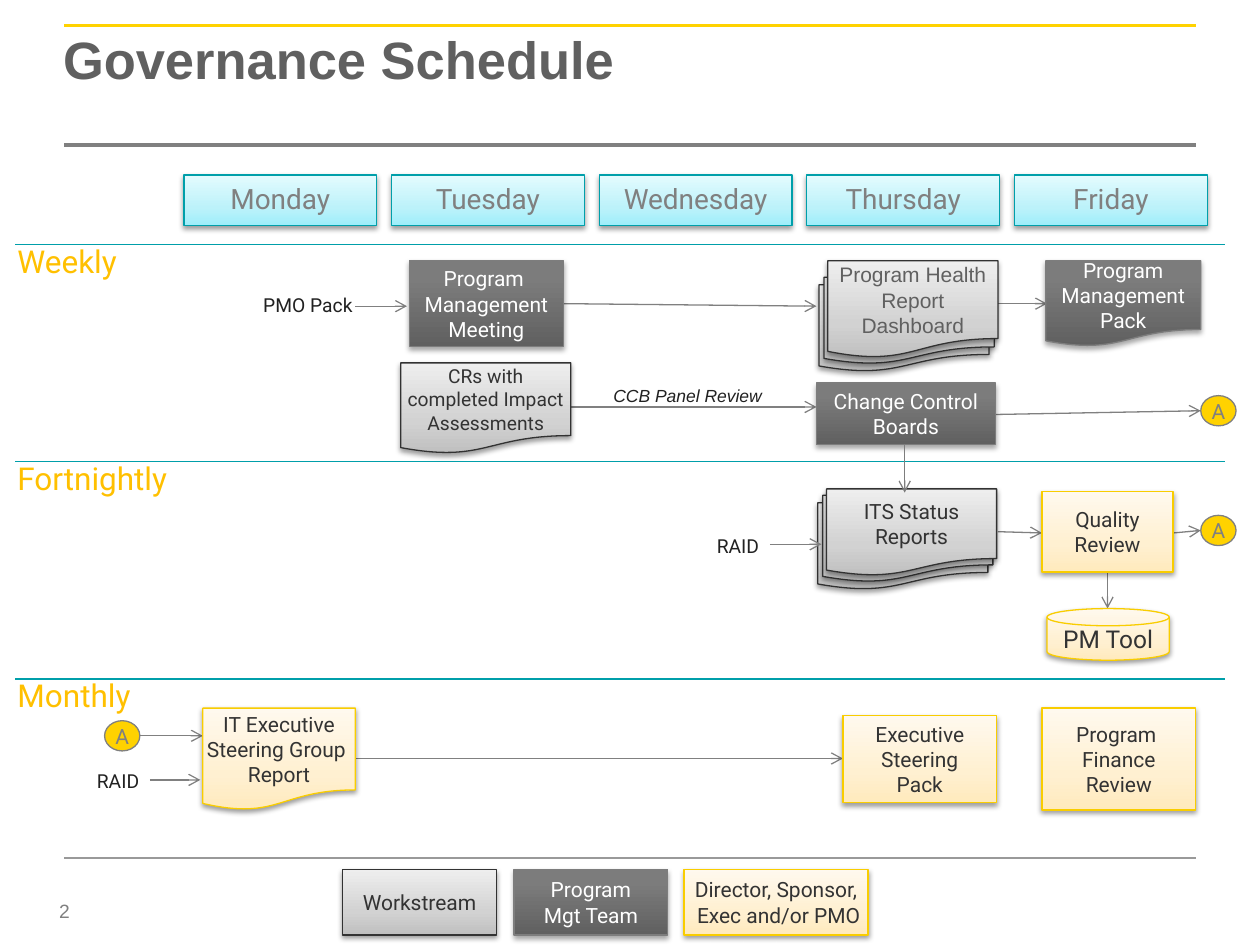
from copy import deepcopy

from lxml.etree import SubElement
from pptx import Presentation
from pptx.dml.color import RGBColor
from pptx.enum.shapes import MSO_CONNECTOR, MSO_SHAPE as Shape
from pptx.enum.text import MSO_ANCHOR as Anchor, MSO_AUTO_SIZE as Fit, PP_ALIGN as Align
from pptx.oxml.ns import qn
from pptx.util import Inches, Pt

COLS, ROWS = 100, 75  # grid over the whole slide

COLORS = {
    "grey": "808080", "rule": "999999", "yellow": "FFD200", "amber": "FFC000",
    "teal": "009FAA", "title": "606060", "ink": "212121", "text": "333333",
    "edge": "323232", "gold": "F9CD00", "slate": "7D7D7D", "white": "FFFFFF",
}

# Gradient stops from bottom to top, outline, text colour, shadow (opacity, distance)
STYLES = {
    "day": ([(0, "9EEEFA"), (35, "BCF2FA"), (100, "E4FBFE")], "teal", "grey", (38, 1.6)),
    "work": ([(0, "BFBFBF"), (35, "D2D2D2"), (100, "EEEEEE")], "edge", "text", (38, 1.6)),
    "team": ([(0, "606060"), (80, "7C7C7C"), (100, "7D7D7D")], "slate", "white", (35, 1.8)),
    "exec": ([(0, "FFEABD"), (35, "FFF0D1"), (100, "FFF9EE")], "gold", "text", (38, 1.6)),
}


def rgb(name):
    return RGBColor.from_string(COLORS[name])


class Board:
    """Draws on one slide; all lengths are grid columns and rows."""

    def __init__(self, prs):
        self.col = prs.slide_width / COLS
        self.row = prs.slide_height / ROWS
        self.s = prs.slides.add_slide(prs.slide_layouts[5])

    def place(self, x, y, w, h):
        return [round(v) for v in (x * self.col, y * self.row, w * self.col, h * self.row)]

    def set_text(self, tf, text, size, color, font="Roboto", align=Align.LEFT,
                 bold=False, italic=False):
        tf.text = text
        for p in tf.paragraphs:
            p.alignment = align
            for r in p.runs:
                r.font.name, r.font.size = font, Pt(size)
                r.font.bold, r.font.italic = bold, italic
                r.font.color.rgb = rgb(color)

    def no_insets(self, tf):
        tf.margin_left = tf.margin_right = tf.margin_top = tf.margin_bottom = 0

    def title(self, text, *area):
        sp = self.s.shapes.title
        sp.left, sp.top, sp.width, sp.height = self.place(*area)
        tf = sp.text_frame
        self.no_insets(tf)
        tf.vertical_anchor, tf.auto_size = Anchor.TOP, Fit.NONE
        self.set_text(tf, text, 30, "title", "Arial", bold=True)
        tf.paragraphs[0].line_spacing = 0.85

    def label(self, text, x, y, w, h, size, color, wrap=False, **style):
        tf = self.s.shapes.add_textbox(*self.place(x, y, w, h)).text_frame
        tf.word_wrap, tf.auto_size = wrap, Fit.SHAPE_TO_FIT_TEXT
        self.set_text(tf, text, size, color, **style)

    def number(self, text, *area):
        tf = self.s.shapes.add_textbox(*self.place(*area)).text_frame
        tf.word_wrap, tf.vertical_anchor = True, Anchor.MIDDLE
        self.no_insets(tf)
        self.set_text(tf, text, 11, "grey", "Arial")

    def box(self, style, text, x, y, w, h, kind=Shape.RECTANGLE, size=12, color=None,
            font="Roboto", anchor=Anchor.MIDDLE, wrap=False):
        stops, edge, ink, (opacity, distance) = STYLES[style]
        sp = self.s.shapes.add_shape(kind, *self.place(x, y, w, h))
        spPr = sp.element.spPr
        # Three-stop gradient
        sp.fill.gradient()
        sp.fill.gradient_angle = 90
        gs = spPr.find(".//" + qn("a:gsLst"))
        gs.append(deepcopy(gs[0]))
        for stop, (position, tone) in zip(sp.fill.gradient_stops, stops):
            stop.position = position / 100
            stop.color.rgb = RGBColor.from_string(tone)
        sp.line.color.rgb, sp.line.width = rgb(edge), Pt(0.75)
        # Soft shadow straight below
        sp.shadow.inherit = False
        shadow = SubElement(spPr.find(qn("a:effectLst")), qn("a:outerShdw"),
                            blurRad=str(Pt(3.1)), dist=str(Pt(distance)),
                            dir="5400000", rotWithShape="0")
        black = SubElement(shadow, qn("a:srgbClr"), val="000000")
        SubElement(black, qn("a:alpha"), val=str(opacity * 1000))
        if text:
            tf = sp.text_frame
            tf.word_wrap, tf.vertical_anchor = wrap, anchor
            self.set_text(tf, text, size, color or ink, font, Align.CENTER)

    def stack(self, text, x, y, w, h, backs, **style):
        for left, top in backs:
            self.box("work", "", left, top, 13.5, 6.9, Shape.FLOWCHART_DOCUMENT)
        self.box("work", text, x, y, w, h, Shape.FLOWCHART_DOCUMENT, **style)

    def marker(self, x, y):
        sp = self.s.shapes.add_shape(Shape.OVAL, *self.place(x, y, 2.8, 2.4))
        sp.shadow.inherit = False
        sp.fill.solid()
        sp.fill.fore_color.rgb = rgb("yellow")
        sp.line.color.rgb, sp.line.width = rgb("grey"), Pt(0.75)
        tf = sp.text_frame
        tf.word_wrap, tf.vertical_anchor = False, Anchor.MIDDLE
        self.no_insets(tf)
        self.set_text(tf, "A", 12, "grey", align=Align.CENTER)

    def line(self, x1, y1, x2, y2, color="grey", width=0.75, arrow=False):
        ends = self.place(x1, y1, x2, y2)
        cn = self.s.shapes.add_connector(MSO_CONNECTOR.STRAIGHT, *ends)
        cn.line.color.rgb, cn.line.width = rgb(color), Pt(width)
        spPr = cn.element.spPr
        if arrow:
            SubElement(spPr.find(qn("a:ln")), qn("a:tailEnd"), type="arrow")
        SubElement(spPr, qn("a:effectLst"))


def main():
    prs = Presentation()
    prs.slide_width, prs.slide_height = Inches(10), Inches(7.5)
    b = Board(prs)
    doc = Shape.FLOWCHART_DOCUMENT

    # Frame, title and page number
    for y, color, width in ((68.1, "rule", 1.5), (2, "yellow", 1.5), (11.5, "grey", 2)):
        b.line(5.1, y, 94.9, y, color, width)
    b.title("Governance Schedule", 5, 2.9, 89.9, 8.6)
    b.number("2", 4.7, 70.7, 2, 3.1)

    # Weekday headers
    for i, day in enumerate(("Monday", "Tuesday", "Wednesday", "Thursday", "Friday")):
        b.box("day", day, 14.6 + 16.48 * i, 13.9, 15.3, 4, size=16, anchor=Anchor.TOP)

    # Frequency bands
    for i, (band, w) in enumerate((("Weekly", 10.2), ("Fortnightly", 14.4), ("Monthly", 11.2))):
        y = 19.4 + 17.25 * i
        b.line(1.2, y, 97.2, y, "teal")
        b.label(band, 0.4, y - 0.7, w, 4, 18, "amber")

    # Arrows that run beneath the boxes
    for ends in ((28.2, 24.3, 32.3, 24.3), (44.7, 24.1, 64.8, 24.3), (77.9, 24.1, 83.1, 24.1),
                 (45.3, 32.3, 64.8, 32.3), (78.9, 32.9, 95.3, 32.6), (79.2, 42.2, 82.7, 42.3),
                 (93.1, 42.3, 95.3, 42.1), (87.9, 45.5, 87.9, 48.3), (11, 58.4, 16.1, 58.4),
                 (11.9, 61.9, 15.9, 61.9), (28.2, 60.2, 66.9, 60.2)):
        b.line(*ends, arrow=True)

    # Weekly
    b.box("team", "Program \nManagement\nMeeting", 32.5, 20.7, 12.2, 6.8)
    b.stack("Program Health\n Report \nDashboard", 65.7, 20.7, 13.5, 7.7,
            ((65, 22.6), (65.4, 22)), font="Arial", color="title")
    b.box("team", "Program Management Pack", 83, 20.7, 12.3, 6.8, doc, wrap=True)
    b.box("work", "CRs with\ncompleted Impact\nAssessments", 31.8, 28.8, 13.5, 7.2, doc, size=11)
    b.box("team", "Change Control\nBoards", 64.8, 30.4, 14.2, 4.9)
    b.label("CCB Panel Review", 47.7, 30.1, 13.9, 2.7, 10, "ink", font="Arial", italic=True)

    # Fortnightly
    b.stack("ITS Status\nReports", 65.6, 38.8, 13.5, 6.9, ((64.9, 39.9), (65.3, 39.3)))
    b.box("exec", "Quality\nReview", 82.7, 39, 10.4, 6.4)
    b.box("exec", "PM Tool", 83.1, 48.3, 9.7, 4.1, Shape.FLOWCHART_MAGNETIC_DISK, size=14)

    # Monthly
    b.box("exec", "IT Executive\nSteering Group \nReport", 16.1, 56.2, 12.1, 8.1, doc)
    b.box("exec", "Executive\nSteering\nPack", 66.9, 56.8, 12.2, 6.9)
    b.box("exec", "Program \nFinance\nReview", 82.7, 56.2, 12.2, 8.1)

    # Inputs, connection markers and arrows that end on a box
    for text, x, y, w in (("PMO Pack", 19.9, 22.8, 11.2), ("RAID", 55.9, 41.9, 8.1),
                          ("RAID", 6.7, 60.6, 8.1)):
        b.label(text, x, y, w, 2.9, 11, "ink", wrap=True)
    for x, y in ((95.3, 31.4), (95.3, 40.9), (8.3, 57.2)):
        b.marker(x, y)
    b.line(61.1, 43.2, 65.2, 43.2, arrow=True)
    b.line(71.8, 35.3, 71.8, 39.1, "slate", arrow=True)

    # Legend
    for style, text, x, w in (("work", "Workstream", 27.2, 12.2),
                              ("team", "Program\nMgt Team", 40.8, 12.2),
                              ("exec", "Director, Sponsor,\n Exec and/or PMO", 54.3, 14.6)):
        b.box(style, text, x, 69, w, 5.2)

    prs.save("out.pptx")


if __name__ == "__main__":
    main()
